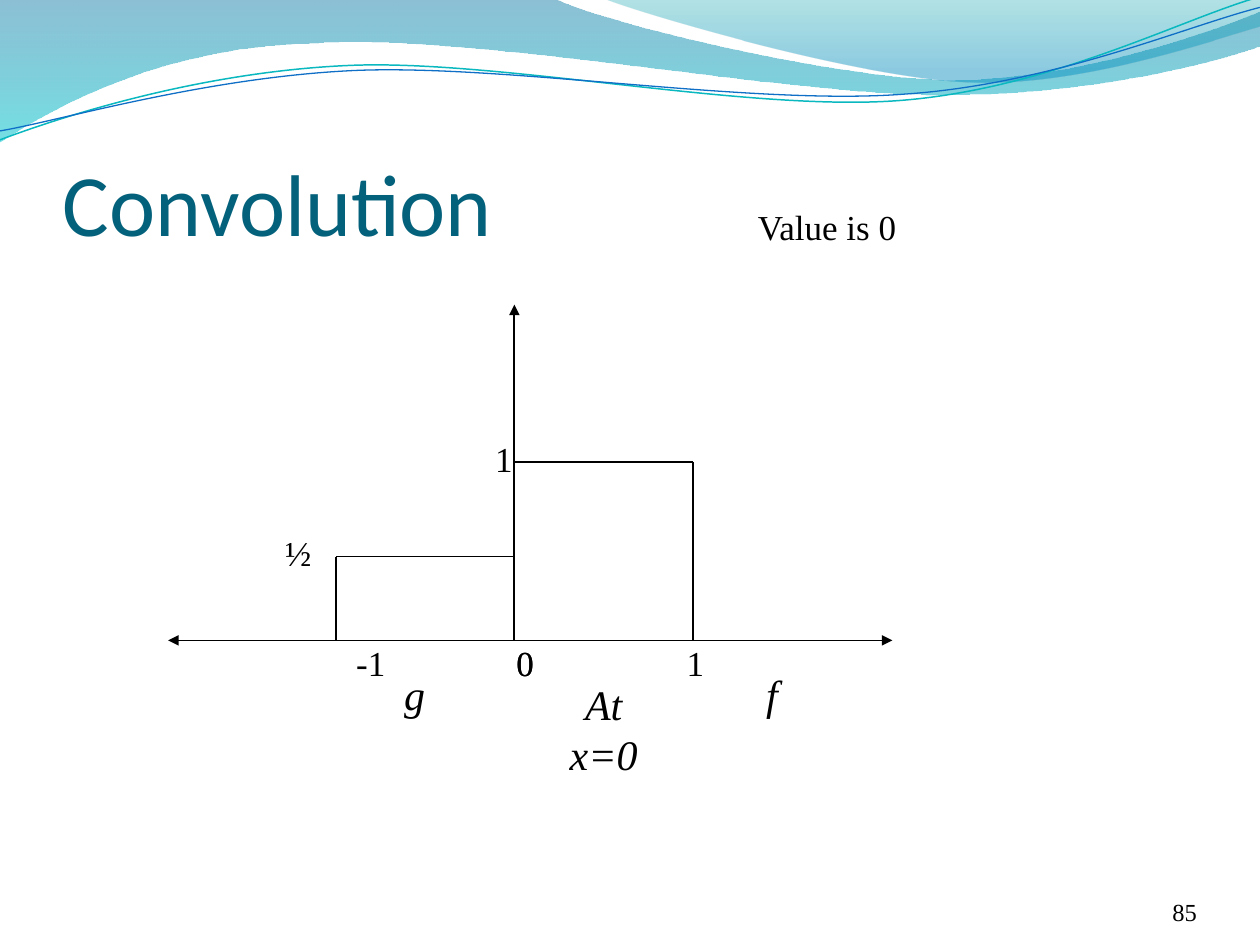
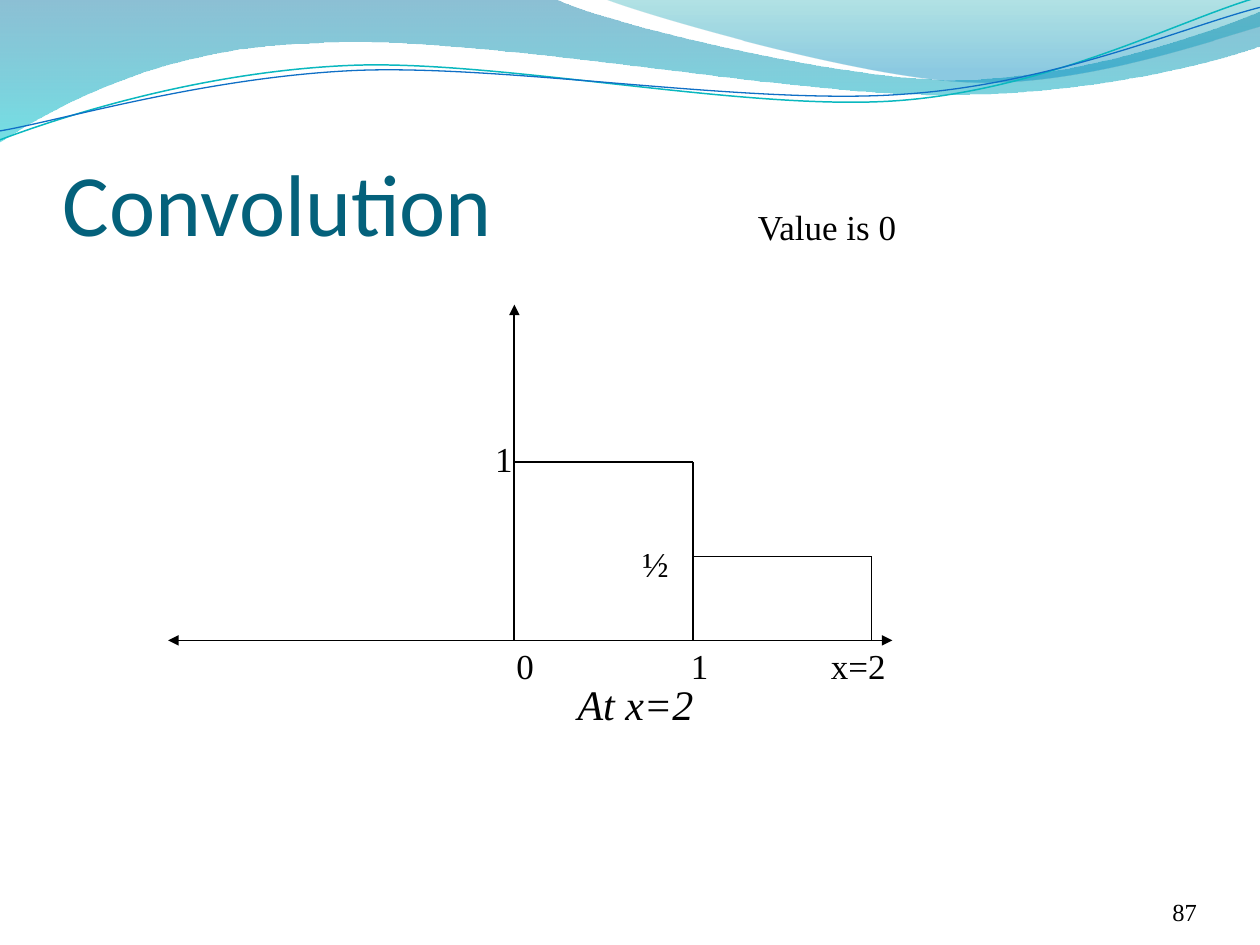
from dataclasses import dataclass

from lxml import etree
from pptx import Presentation
from pptx.dml.color import RGBColor
from pptx.enum.shapes import MSO_CONNECTOR
from pptx.enum.text import MSO_ANCHOR, MSO_AUTO_SIZE, PP_ALIGN
from pptx.oxml.ns import qn
from pptx.shapes.autoshape import Shape
from pptx.slide import Slide
from pptx.util import Cm, Pt

STRAIGHT = MSO_CONNECTOR.STRAIGHT
LEFT, CENTER, RIGHT = PP_ALIGN.LEFT, PP_ALIGN.CENTER, PP_ALIGN.RIGHT
TOP, BOTTOM = MSO_ANCHOR.TOP, MSO_ANCHOR.BOTTOM
GROW, FIXED = MSO_AUTO_SIZE.SHAPE_TO_FIT_TEXT, MSO_AUTO_SIZE.NONE

COLORS = {
    "ink": "000000",
    "title": "04617B",
    "band_top": "0074A1",
    "band_bottom": "00C6CF",
    "corner_top": "00A1A9",
    "corner_bottom": "008BBF",
    "teal_line": "0AB8BF",
    "blue_line": "0F6FC6",
}
BODY_FONT, TITLE_FONT = "Times New Roman", "Calibri"
SLIDE_WIDTH, SLIDE_HEIGHT = 25.4, 19.05
ORIGIN_X, BASE_Y, UNIT, HALF = 10.37, 12.91, 3.6, 1.69
LABEL_HEIGHT, CAPTION_HEIGHT = 1.1, 1.27

Point = tuple[float, float]


@dataclass(frozen=True)
class GradientStop:
    color: str
    position: float
    opacity: int


@dataclass(frozen=True)
class Wave:
    start: Point
    segments: tuple[tuple[Point, ...], ...]
    stops: tuple[GradientStop, ...] = ()
    line_color: str = ""
    line_width: float = 0


@dataclass(frozen=True)
class Label:
    text: str
    left: float
    top: float
    width: float
    height: float = LABEL_HEIGHT
    size: int = 20
    font: str = BODY_FONT
    color: str = "ink"
    italic: bool = False
    align: PP_ALIGN = LEFT
    anchor: MSO_ANCHOR = TOP
    auto_size: MSO_AUTO_SIZE = GROW
    margins: tuple[float, ...] = (0.25, 0.13, 0.25, 0.13)
    tabs: tuple[float, ...] = ()


@dataclass(frozen=True)
class Line:
    start: Point
    end: Point
    arrow: bool = False


@dataclass(frozen=True)
class Step:
    number: str
    half_box: tuple[Line, Line]
    labels: tuple[Label, ...]


WAVES = (
    Wave(
        (0, 0),
        (
            ((11.18, -0.03),),
            ((12.09, 0.43), (16.87, 1.6), (19.25, 1.6)),
            ((21.67, 1.6), (24.33, 0.66), (25.4, 0.23)),
            ((25.43, 0.91),),
            ((24.97, 1.12), (22.1, 1.93), (18.95, 1.91)),
            ((15.79, 1.91), (9.7, 0.71), (6.53, 0.86)),
            ((3.28, 0.91), (1.17, 2.11), (-0.03, 2.87)),
        ),
        (GradientStop("band_top", 0, 45), GradientStop("band_bottom", 1, 55)),
    ),
    Wave(
        (12.17, -0.03),
        (
            ((12.93, 0.28), (17.32, 1.57), (19.53, 1.65)),
            ((21.74, 1.75), (24.41, 0.81), (25.4, 0.53)),
            ((25.4, 0),),
        ),
        (GradientStop("corner_top", 0, 30), GradientStop("corner_bottom", 0.8, 45)),
    ),
    Wave(
        (0, 2.82),
        (
            ((1.22, 2.36), (4.01, 1.45), (7.04, 1.32)),
            ((10.03, 1.19), (15.06, 2.26), (18.11, 2.03)),
            ((21.16, 1.8), (23.83, 0.38), (25.35, -0.05)),
        ),
        line_color="teal_line",
        line_width=0.85,
    ),
    Wave(
        (0, 2.64),
        (
            ((1.19, 2.44), (4.17, 1.55), (7.19, 1.42)),
            ((10.24, 1.3), (15.16, 2.13), (18.21, 1.9)),
            ((21.23, 1.7), (23.9, 0.53), (25.4, 0.15)),
        ),
        line_color="blue_line",
        line_width=0.75,
    ),
)

AXES = (
    Line((ORIGIN_X, 6.35), (ORIGIN_X, BASE_Y)),
    Line((ORIGIN_X, BASE_Y), (16.93, BASE_Y)),
    Line((3.81, BASE_Y), (ORIGIN_X, BASE_Y)),
    Line((ORIGIN_X, 7.62), (ORIGIN_X, 6.14), arrow=True),
    Line((16.51, BASE_Y), (17.99, BASE_Y), arrow=True),
    Line((4.87, BASE_Y), (3.39, BASE_Y), arrow=True),
)


def box_lines(top_left: float, side_x: float, height: float) -> tuple[Line, Line]:
    top = BASE_Y - height
    return (
        Line((top_left, top), (top_left + UNIT, top)),
        Line((side_x, top), (side_x, BASE_Y)),
    )


def caption(text: str, left: float, top: float, width: float = 1.9, height: float = CAPTION_HEIGHT) -> Label:
    return Label(text, left, top, width, height, size=24, italic=True, align=CENTER)


FULL_BOX = box_lines(ORIGIN_X, ORIGIN_X + UNIT, UNIT)
SHARED_LABELS = (
    Label(
        "Convolution", 1.27, 1.96, 22.86, 3.17, size=50, font=TITLE_FONT, color="title",
        anchor=BOTTOM, auto_size=FIXED, margins=(0, 0.13, 0, 0),
    ),
    Label("1", 9.73, 8.69, 0.85),
    Label("Value is 0", 15.03, 4.02, 7.2),
)

STEPS = (
    Step(
        "85",
        box_lines(ORIGIN_X - UNIT, ORIGIN_X - UNIT, HALF),
        (
            Label("-1\t0", 6.93, 12.8, 6.35, tabs=(3.23,)),
            Label("½", 5.5, 10.58, 0.85),
            caption("g", 7.41, 13.34),
            Label("0\t1", 10.16, 12.8, 6.35, tabs=(3.43,)),
            caption("At x=0", 11.22, 13.55, height=2.29),
            caption("f", 14.61, 13.34),
        ),
    ),
    Step(
        "87",
        box_lines(ORIGIN_X + UNIT, ORIGIN_X + 2 * UNIT, HALF),
        (
            Label("½", 12.7, 10.8, 0.85),
            Label("0\t1\tx=2", 10.16, 12.87, 8.05, tabs=(3.52, 6.34)),
            caption("At x=2", 11.22, 13.55, width=3.18),
        ),
    ),
)


def rgb(name: str) -> RGBColor:
    return RGBColor.from_string(COLORS[name])


def bend_segments(shape: Shape, wave: Wave) -> None:
    line_steps = iter(list(shape.element.iter(qn("a:lnTo"))))
    for segment in wave.segments:
        steps = [next(line_steps) for _ in segment]
        if len(segment) == 3:
            curve = etree.Element(qn("a:cubicBezTo"))
            steps[0].addprevious(curve)
            for step in steps:
                curve.append(step[0])
                step.getparent().remove(step)


def fill_gradient(shape: Shape, stops: tuple[GradientStop, ...]) -> None:
    shape.fill.gradient()
    shape.fill.gradient_angle = 270
    for target, stop in zip(shape.fill.gradient_stops, stops):
        target.color.rgb = rgb(stop.color)
        target.position = stop.position
    for element, stop in zip(shape.element.iter(qn("a:gs")), stops):
        etree.SubElement(element[0], qn("a:alpha"), val=str(stop.opacity * 1000))


def draw_wave(slide: Slide, wave: Wave) -> None:
    builder = slide.shapes.build_freeform(*map(Cm, wave.start))
    points = [(Cm(x), Cm(y)) for segment in wave.segments for x, y in segment]
    builder.add_line_segments(points, close=bool(wave.stops))
    shape = builder.convert_to_shape()
    shape.shadow.inherit = False
    bend_segments(shape, wave)
    if wave.stops:
        fill_gradient(shape, wave.stops)
        shape.line.fill.background()
    else:
        shape.fill.background()
        shape.line.color.rgb = rgb(wave.line_color)
        shape.line.width = Pt(wave.line_width)


def draw_line(slide: Slide, line: Line) -> None:
    connector = slide.shapes.add_connector(STRAIGHT, *map(Cm, line.start + line.end))
    connector.line.color.rgb = rgb("ink")
    connector.line.width = Pt(1)
    properties = connector.element.spPr
    if line.arrow:
        etree.SubElement(properties.find(qn("a:ln")), qn("a:tailEnd"), type="triangle")
    etree.SubElement(properties, qn("a:effectLst"))


def draw_label(slide: Slide, label: Label) -> None:
    shape = slide.shapes.add_textbox(*map(Cm, (label.left, label.top, label.width, label.height)))
    frame = shape.text_frame
    frame.word_wrap = True
    frame.auto_size = label.auto_size
    frame.vertical_anchor = label.anchor
    frame.margin_left, frame.margin_top, frame.margin_right, frame.margin_bottom = map(Cm, label.margins)
    paragraph = frame.paragraphs[0]
    paragraph.alignment = label.align
    if label.tabs:
        tab_list = etree.SubElement(paragraph._p.get_or_add_pPr(), qn("a:tabLst"))
        for position in label.tabs:
            etree.SubElement(tab_list, qn("a:tab"), pos=str(Cm(position)), algn="l")
    run = paragraph.add_run()
    run.text = label.text
    run.font.name = label.font
    run.font.size = Pt(label.size)
    run.font.italic = label.italic
    run.font.color.rgb = rgb(label.color)


def slide_number(number: str) -> Label:
    return Label(
        number, 22.01, 17.66, 2.12, 1.01, size=14, align=RIGHT,
        anchor=BOTTOM, auto_size=FIXED, margins=(0, 0, 0, 0),
    )


def draw_step(slide: Slide, step: Step) -> None:
    for wave in WAVES:
        draw_wave(slide, wave)
    for line in AXES + FULL_BOX + step.half_box:
        draw_line(slide, line)
    for label in (slide_number(step.number), *SHARED_LABELS, *step.labels):
        draw_label(slide, label)


def main() -> None:
    presentation = Presentation()
    presentation.slide_width = Cm(SLIDE_WIDTH)
    presentation.slide_height = Cm(SLIDE_HEIGHT)
    blank_layout = presentation.slide_layouts[6]
    for step in STEPS:
        draw_step(presentation.slides.add_slide(blank_layout), step)
    presentation.save("out.pptx")


if __name__ == "__main__":
    main()
